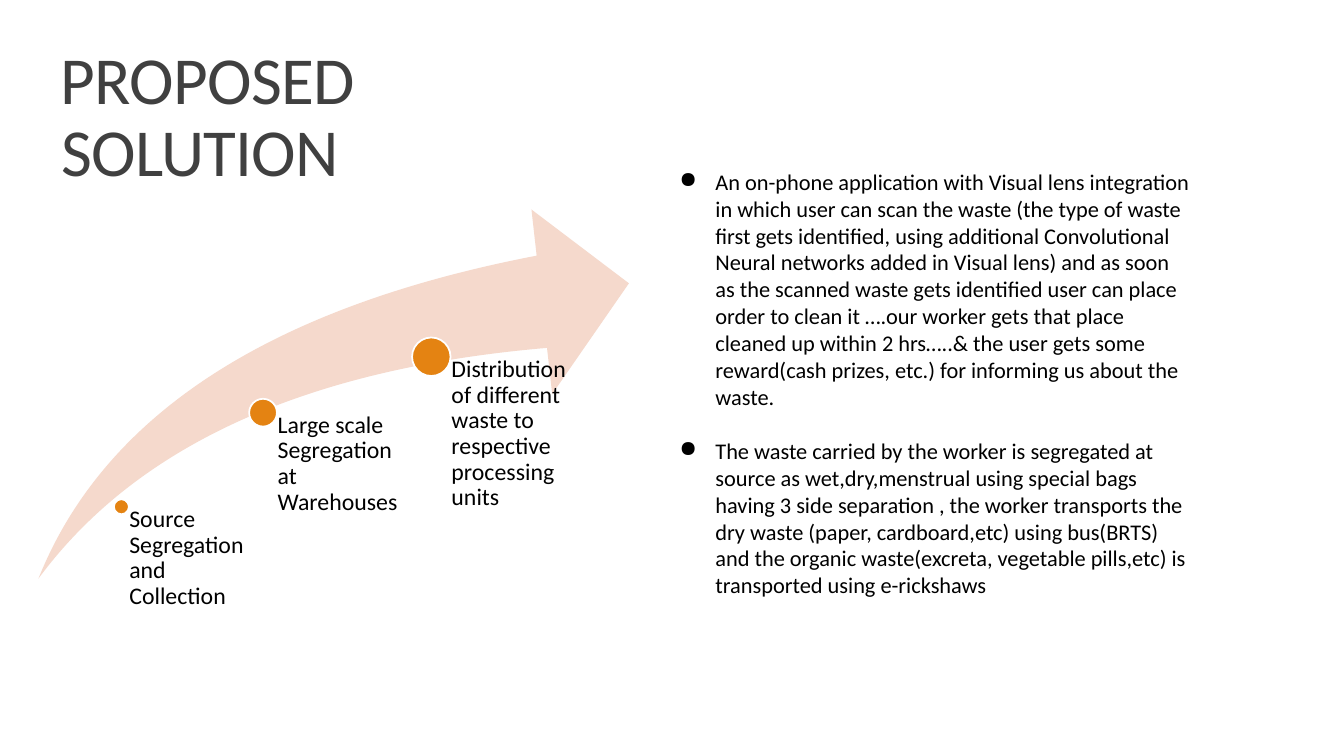
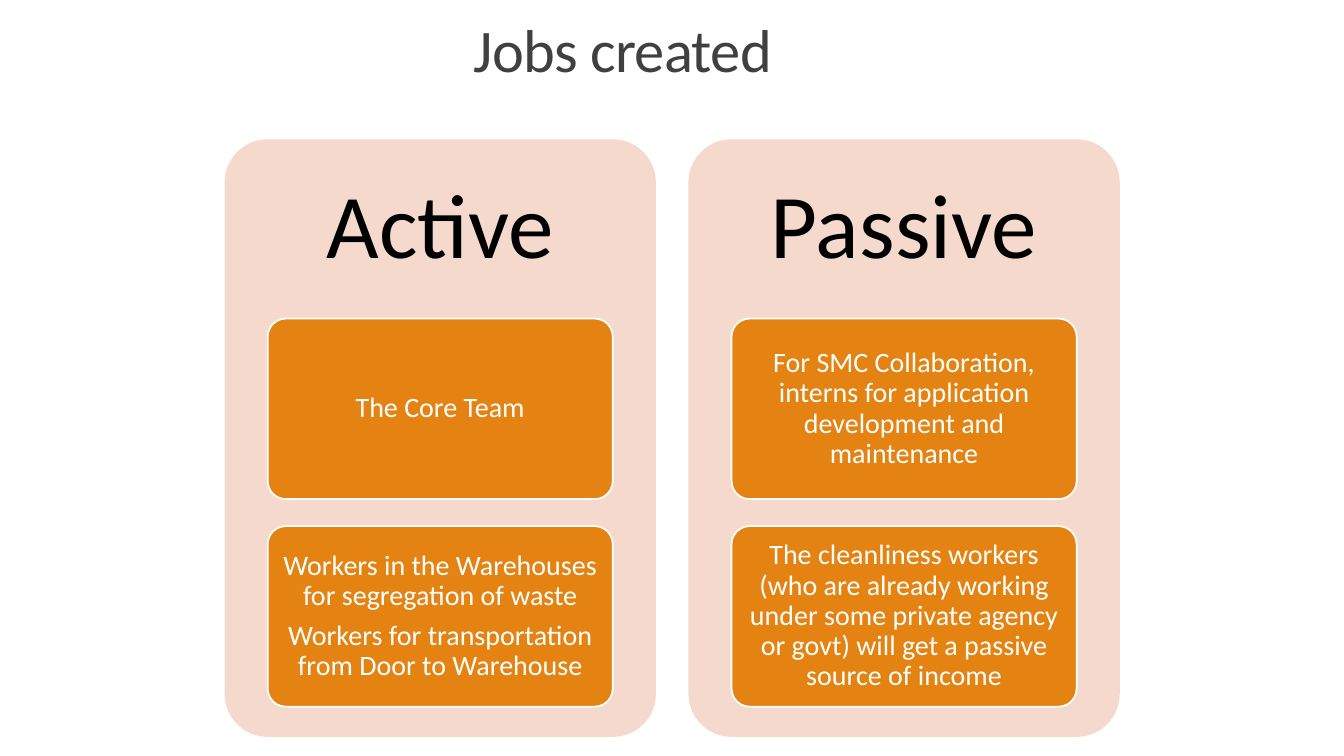
from lxml.etree import SubElement
from pptx import Presentation
from pptx.dml.color import RGBColor
from pptx.enum.shapes import MSO_SHAPE as Shape
from pptx.enum.text import MSO_ANCHOR as Anchor, PP_ALIGN as Align
from pptx.oxml.ns import qn
from pptx.util import Cm, Pt

COLORS = {
    "title": "404040",
    "text": "000000",
    "light": "FFFFFF",
    "accent": "E48312",
    "pale": "F5D9CC",
}
FONT = "Calibri"

STEPS = [  # centre x, centre y, dot diameter, label width, label
    (3.06, 12.77, 0.38, 3.45, "Source Segregation and Collection"),
    (6.63, 10.4, 0.7, 3.58, "Large scale Segregation at Warehouses"),
    (10.87, 8.99, 0.97, 3.58,
     "Distribution of different waste to respective processing units"),
]
STEPS_BOTTOM = 15.45

SOLUTION = [
    "An on-phone application with Visual lens integration in which user can scan "
    "the waste (the type of waste first gets identified, using additional "
    "Convolutional Neural networks added in Visual lens) and as soon as the "
    "scanned waste gets identified user can place order to clean it ….our worker "
    "gets that place cleaned up within 2 hrs…..& the user gets some reward(cash "
    "prizes, etc.) for informing us about the waste.",
    "The waste carried by the worker is segregated at source as "
    "wet,dry,menstrual using special bags having 3 side separation , the worker "
    "transports the dry waste (paper, cardboard,etc) using bus(BRTS) and the "
    "organic waste(excreta, vegetable pills,etc) is transported using e-rickshaws",
]

JOBS = {  # panel heading: cards, each a list of paragraphs
    "Active": [
        ["The Core Team"],
        ["Workers in the Warehouses for segregation of waste",
         "Workers for transportation from Door to Warehouse"],
    ],
    "Passive": [
        ["For SMC Collaboration, interns for application development and "
         "maintenance"],
        ["The cleanliness workers (who are already working under some private "
         "agency or govt) will get a passive source of income"],
    ],
}


def color(name):
    return RGBColor.from_string(COLORS[name])


def add_bullet(para, ink):
    properties = para._p.get_or_add_pPr()
    properties.set("marL", str(Cm(1.27)))
    properties.set("indent", str(Cm(-0.91)))
    bullet_color = SubElement(properties, qn("a:buClr"))
    SubElement(bullet_color, qn("a:srgbClr"), val=COLORS[ink])
    SubElement(properties, qn("a:buChar"), char="●")


def write(shape, lines, size=20, ink="text", align=Align.LEFT, anchor=Anchor.TOP,
          insets=(0, 0, 0, 0), spacing=0.9, gap=0, tracking=0, bullets=False):
    """Fill a shape with one paragraph per line; insets are left, top, right, bottom in cm."""
    frame = shape.text_frame
    frame.word_wrap = True
    frame.vertical_anchor = anchor
    (frame.margin_left, frame.margin_top,
     frame.margin_right, frame.margin_bottom) = map(Cm, insets)
    for index, line in enumerate(lines):
        para = frame.add_paragraph() if index else frame.paragraphs[0]
        if bullets:
            add_bullet(para, ink)
        para.alignment = align
        para.line_spacing = spacing
        if index:
            para.space_before = Pt(gap)
        span = para.add_run()
        span.text = line
        span.font.name = FONT
        span.font.size = Pt(size)
        span.font.color.rgb = color(ink)
        if tracking:
            span.font._element.set("spc", str(round(tracking * 100)))


class Slides:
    """Holds the deck, its style and the slide being built."""

    def __init__(self):
        self.deck = Presentation()
        self.deck.slide_width, self.deck.slide_height = Cm(33.87), Cm(19.05)
        self.page = None

    def start(self, title, place, size):
        self.page = self.deck.slides.add_slide(self.deck.slide_layouts[6])
        self.text([title], place, size=size, ink="title", align=Align.CENTER,
                  anchor=Anchor.MIDDLE, insets=(0.25, 0.13, 0.25, 0.13),
                  tracking=-0.5)

    def text(self, lines, place, **style):
        box = self.page.shapes.add_textbox(*map(Cm, place))
        write(box, lines, **style)

    def shape(self, kind, place, fill, outlined=False, adjustments=()):
        shape = self.page.shapes.add_shape(kind, *map(Cm, place))
        shape.shadow.inherit = False
        shape.fill.solid()
        shape.fill.fore_color.rgb = color(fill)
        if outlined:
            shape.line.color.rgb = color("light")
            shape.line.width = Pt(1.25)
        else:
            shape.line.fill.background()
        for index, value in enumerate(adjustments):
            shape.adjustments[index] = value
        return shape

    def step(self, x, y, diameter, width, label):
        """Draw a dot centred on x, y with its label hanging from the centre."""
        radius = diameter / 2
        self.shape(Shape.OVAL, (x - radius, y - radius, diameter, diameter),
                   "accent", outlined=True)
        self.text([label], (x, y, width, STEPS_BOTTOM - y), size=17,
                  insets=(radius * 1.05, 0, 0, 0))

    def panel(self, left, heading, cards):
        top, width, height = 3.51, 10.87, 15.06
        heading_height, card_height, card_pitch = height * 0.3, 4.55, 5.23
        self.shape(Shape.ROUNDED_RECTANGLE, (left, top, width, height), "pale",
                   adjustments=[0.1])
        self.text([heading], (left, top, width, heading_height), size=65,
                  align=Align.CENTER, anchor=Anchor.MIDDLE, insets=[0.69] * 4)
        for index, lines in enumerate(cards):
            card_top = top + heading_height + index * card_pitch
            card = self.shape(
                Shape.ROUNDED_RECTANGLE,
                (left + width * 0.1, card_top, width * 0.8, card_height),
                "accent", outlined=True, adjustments=[0.1])
            write(card, lines, ink="light", align=Align.CENTER,
                  anchor=Anchor.MIDDLE, insets=(0.15, 0.11, 0.15, 0.11), gap=7)


def main():
    slides = Slides()

    slides.start("PROPOSED SOLUTION ", (0.97, 0.69, 8.51, 4.6), size=48)
    slides.text(SOLUTION, (16.76, 3.28, 13.26, 12.75), size=16, spacing=1,
                anchor=Anchor.MIDDLE, insets=(0, 0.13, 0, 0.13), gap=19.5,
                bullets=True)
    slides.shape(Shape.SWOOSH_ARROW, (0.97, 5.28, 14.88, 9.3), "pale",
                 adjustments=[0.25, 0.25])
    for step in STEPS:
        slides.step(*step)

    slides.start("Jobs created", (8.92, 0.51, 13.56, 1.63), size=43.2)
    for index, (heading, cards) in enumerate(JOBS.items()):
        slides.panel(5.66 + index * 11.69, heading, cards)

    slides.deck.save("out.pptx")


if __name__ == "__main__":
    main()
